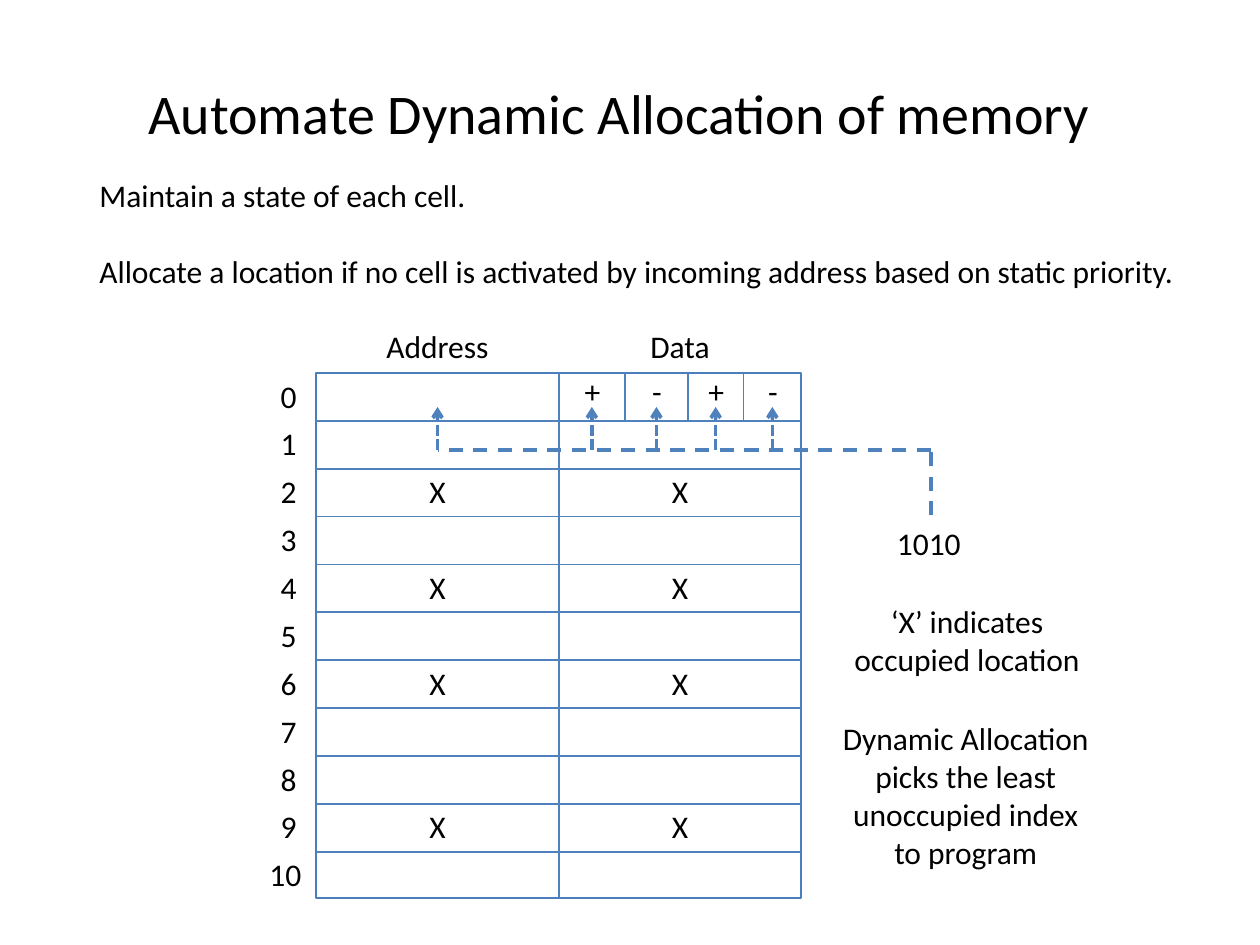
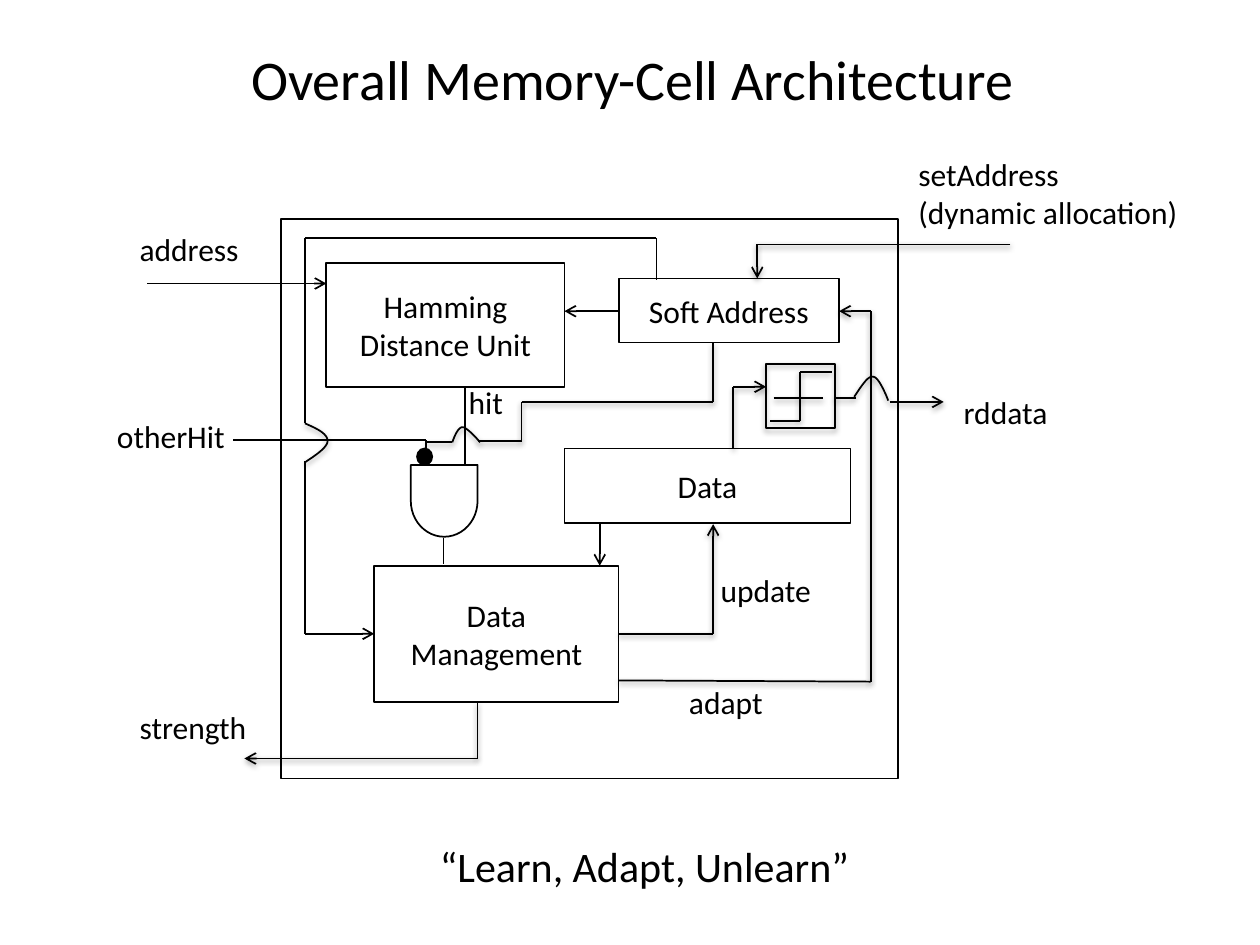
from dataclasses import dataclass
from itertools import pairwise

from lxml import etree
from pptx import Presentation
from pptx.dml.color import RGBColor
from pptx.enum.dml import MSO_LINE
from pptx.enum.shapes import MSO_CONNECTOR, MSO_SHAPE
from pptx.enum.text import MSO_ANCHOR, MSO_AUTO_SIZE, PP_ALIGN
from pptx.oxml.ns import qn
from pptx.util import Inches, Pt

LEFT, MID = PP_ALIGN.LEFT, PP_ALIGN.CENTER
TOP, CENTER = MSO_ANCHOR.TOP, MSO_ANCHOR.MIDDLE
RECT, OVAL, DELAY = MSO_SHAPE.RECTANGLE, MSO_SHAPE.OVAL, MSO_SHAPE.FLOWCHART_DELAY
DASH, SHORT = MSO_LINE.DASH, MSO_LINE.SQUARE_DOT
STRAIGHT = MSO_CONNECTOR.STRAIGHT


@dataclass(frozen=True)
class Theme:
    ink: str = "000000"
    edge: str = "4B7EBC"
    blue: str = "4F81BD"
    font: str = "Calibri"
    title: int = 32
    motto: int = 24
    body: int = 18
    thin: float = 1
    thick: float = 2
    row: float = 0.4       # height of a one-line label


T = Theme()
WIDE, HIGH = 10, 7.5

# ---- Content: memory allocation ----
ALLOC = "Automate Dynamic Allocation of memory"
INTRO = ["Maintain a state of each cell.",
         "Allocate a location if no cell is activated by incoming address "
         "based on static priority."]
HEADS = ["Address", "Data"]
ROWS = 11
USED = [2, 4, 6, 9]
SIGNS = "+-+-"
CODE = "1010"
NOTES = [("‘X’ indicates occupied location", (6.68, 4.73, 1.99, 0.71)),
         ("Dynamic Allocation picks the least unoccupied index to program",
          (6.58, 5.66, 2.17, 1.31))]

# ---- Content: cell architecture ----
ARCH = "Overall Memory-Cell Architecture"
MOTTO = "“Learn, Adapt, Unlearn”"
BLOCKS = [("", (2.23, 1.74, 4.9, 4.44)),
          ("Hamming Distance Unit", (2.59, 2.09, 1.89, 0.98)),
          ("Soft Address", (4.91, 2.21, 1.75, 0.51)),
          ("Data Management", (2.97, 4.49, 1.94, 1.08)),
          ("Data", (4.48, 3.56, 2.27, 0.59))]
LABELS = [("address", 1.01, 1.78, 1.04), ("hit", 3.62, 2.99, 0.52),
          ("otherHit", 0.83, 3.26, 1.11), ("adapt", 5.37, 5.37, 0.96),
          ("update", 5.62, 4.48, 0.99), ("strength", 1.01, 5.57, 1.16),
          ("rddata", 7.55, 3.07, 0.91),
          ("setAddress\v(dynamic allocation)", 7.19, 1.18, 2.37)]

# Shared wire tracks
BUS, RISE, ADAPT, LOW, HIT = 2.42, 5.66, 6.91, 5.03, 3.69
# Wires: points, arrow at the end
FLAT = [([(1.17, 2.25), (2.59, 2.25)], True),
        ([(4.91, 2.47), (4.48, 2.47)], True),
        ([(HIT, 3.07), (HIT, 3.69)], False),
        ([(3.38, 3.69), (3.38, 3.49), (1.85, 3.49)], False),
        ([(3.52, 4.27), (3.52, 4.48)], False),
        ([(4.76, 4.15), (4.76, 4.49)], True),
        ([(5.21, 2.22), (5.21, 1.89), (BUS, 1.89), (BUS, 3.36)], False),
        ([(BUS, 3.66), (BUS, LOW), (2.97, LOW)], True)]
SHADED = [([(8.02, 1.94), (6.01, 1.94), (6.01, 2.21)], True),
          ([(4.91, LOW), (RISE, LOW), (RISE, 4.16)], True),
          ([(4.91, 5.4), (ADAPT, 5.41), (ADAPT, 2.47), (6.66, 2.47)], True),
          ([(3.79, 5.57), (3.79, 6.02), (1.94, 6.02)], True),
          ([(3.59, 3.51), (3.37, 3.51)], False),
          ([(3.79, 3.5), (4.14, 3.5), (4.14, 3.19), (RISE, 3.19),
            (RISE, 2.72)], False),
          ([(5.82, 3.56), (5.82, 3.07), (6.08, 3.07)], True),
          ([(6.62, 3.16), (6.79, 3.16)], False),
          ([(7.06, 3.19), (7.49, 3.19)], True),
          ([(6.14, 3.16), (6.53, 3.16)], False),
          ([(6.6, 2.95), (6.35, 2.95), (6.35, 3.34), (6.11, 3.34)], False)]
# Wire hops: start, then two cubic curves of three points each
HOPS = [[(BUS, 3.36), (2.51, 3.4), (2.6, 3.44), (2.6, 3.5),
         (2.6, 3.55), (2.51, 3.61), (BUS, 3.67)],
        [(3.59, 3.51), (3.61, 3.45), (3.64, 3.39), (3.67, 3.39),
         (3.71, 3.39), (3.81, 3.51), (3.81, 3.51)],
        [(6.78, 3.15), (6.84, 3.06), (6.89, 2.98), (6.93, 2.99),
         (6.98, 2.99), (7.05, 3.18), (7.05, 3.18)]]


# ---- Helpers ----
def inch(*nums):
    return [Inches(n) for n in nums]


def rgb(code):
    return RGBColor.from_string(code)


def write(shape, lines, size=T.body, align=MID, anchor=TOP, gap=0):
    frame = shape.text_frame
    frame.word_wrap = True
    frame.vertical_anchor = anchor
    for i, line in enumerate(lines):
        para = frame.add_paragraph() if i else frame.paragraphs[0]
        para.text = line
        para.alignment = align
        para.space_before = Pt(gap if i else 0)
        for run in para.runs:
            font = run.font
            font.name, font.size = T.font, Pt(size)
            font.color.rgb = rgb(T.ink)


def label(slide, text, box, size=T.body, align=MID, gap=0):
    shape = slide.shapes.add_textbox(*inch(*box))
    lines = [text] if isinstance(text, str) else text
    write(shape, lines, size, align, gap=gap)
    shape.text_frame.auto_size = MSO_AUTO_SIZE.SHAPE_TO_FIT_TEXT


def stroke(shape, color, width=T.thin, shade=False):
    """Line colour and width, then an empty or a soft shadow list."""
    shape.line.color.rgb = rgb(color)
    shape.line.width = Pt(width)
    fx = etree.SubElement(shape._element.spPr, qn("a:effectLst"))
    if shade:
        drop = etree.SubElement(fx, qn("a:outerShdw"), blurRad=str(Pt(3.1)),
                                dist=str(Pt(1.6)), dir="5400000", rotWithShape="0")
        tint = etree.SubElement(drop, qn("a:srgbClr"), val=T.ink)
        etree.SubElement(tint, qn("a:alpha"), val="38000")


def block(slide, box, kind=RECT, color=T.ink, text="", fill=None, shade=False):
    shape = slide.shapes.add_shape(kind, *inch(*box))
    if fill:
        shape.fill.solid()
        shape.fill.fore_color.rgb = rgb(fill)
    else:
        shape.fill.background()
    stroke(shape, color, shade=shade)
    if text:
        write(shape, [text], anchor=CENTER)
    return shape


def wire(slide, points, arrow=False, color=T.ink, width=T.thin, dash=None,
         shade=False):
    for start, end in pairwise(points):
        line = slide.shapes.add_connector(STRAIGHT, *inch(*start, *end))
        stroke(line, color, width, shade)
        if dash:
            line.line.dash_style = dash
    if arrow:
        etree.SubElement(line.line._get_or_add_ln(), qn("a:tailEnd"), type="arrow")


def hop(slide, pts, steps=12):
    path = [pts[0]]
    for k in (0, 3):
        for i in range(1, steps + 1):
            t = i / steps
            mix = ((1 - t) ** 3, 3 * t * (1 - t) ** 2, 3 * t * t * (1 - t), t ** 3)
            path.append(tuple(sum(m * p[axis] for m, p in zip(mix, pts[k:k + 4]))
                              for axis in (0, 1)))
    path = [inch(*p) for p in path]
    form = slide.shapes.build_freeform(*path[0], scale=1)
    form.add_line_segments(path[1:], close=False)
    shape = form.convert_to_shape()
    shape.fill.background()
    stroke(shape, T.ink, shade=True)


def page(deck, text, box):
    slide = deck.slides.add_slide(deck.slide_layouts[5])
    title = slide.shapes.title
    title.left, title.top, title.width, title.height = inch(*box)
    write(title, [text], T.title)
    return slide


deck = Presentation()
deck.slide_width, deck.slide_height = inch(WIDE, HIGH)

# ---- Slide 1: memory table ----
slide = page(deck, ALLOC, (0.76, 0.57, 8.31, 0.64))
label(slide, INTRO, (0.69, 1.35, 8.78, 1.01), align=LEFT, gap=T.body * 1.2)
x, y, col, step = 2.51, 2.96, 1.925, 0.38
right, base = x + 2 * col, 7.13
block(slide, (x, y, 2 * col, base - y), color=T.edge)
wire(slide, [(x + col, y), (x + col, base)], color=T.blue)
for n in range(ROWS):
    top = y + n * step
    if n:
        wire(slide, [(x, top), (right, top)], color=T.blue)
    label(slide, str(n), (2.13 if n < 10 else 2.04, top - 0.02, 0.47, T.row),
          align=LEFT)
for i, head in enumerate(HEADS):
    side = x + i * col
    label(slide, head, (side, y - 0.41, col, T.row))
    for n in USED:
        label(slide, "X", (side, y + n * step - 0.02, col, T.row))

# State bits and the incoming code
cuts = [x + col, 4.96, 5.46, 5.9, right]
for cut in cuts[1:-1]:
    wire(slide, [(cut, y), (cut, y + step)], color=T.blue)
feed, tip, source = 3.57, 3.23, 7.39
taps = [x + col / 2]
for sign, (a, b) in zip(SIGNS, pairwise(cuts)):
    mid = (a + b) / 2
    taps.append(mid)
    label(slide, sign, (mid - 0.23, y - 0.06, 0.47, T.row))
wire(slide, [(source, 4.09), (source, feed), (taps[0], feed)],
     color=T.blue, width=T.thick, dash=DASH)
for tap in taps:
    wire(slide, [(tap, feed), (tap, tip)], True, T.blue, T.thick, SHORT)
label(slide, CODE, (7.02, 4.11, 0.76, T.row), align=LEFT)
for text, box in NOTES:
    label(slide, text, box)

# ---- Slide 2: cell diagram ----
slide = page(deck, ARCH, (0.67, 0.3, 8.7, 0.64))
for text, box in BLOCKS:
    block(slide, box, text=text)
gate = block(slide, (3.24, 3.71, 0.57, 0.53), DELAY)
gate.rotation = 90
block(slide, (3.31, 3.56, 0.12, 0.13), OVAL, fill=T.ink)
block(slide, (6.08, 2.89, 0.55, 0.51), shade=True)
for wires, shade in ((FLAT, False), (SHADED, True)):
    for points, arrow in wires:
        wire(slide, points, arrow, shade=shade)
for pts in HOPS:
    hop(slide, pts)
for text, left, top, width in LABELS:
    tall = 0.71 if "\v" in text else T.row
    label(slide, text, (left, top, width, tall), align=LEFT)
label(slide, MOTTO, (0.67, 6.62, 8.89, 0.5), T.motto)

deck.save("out.pptx")
